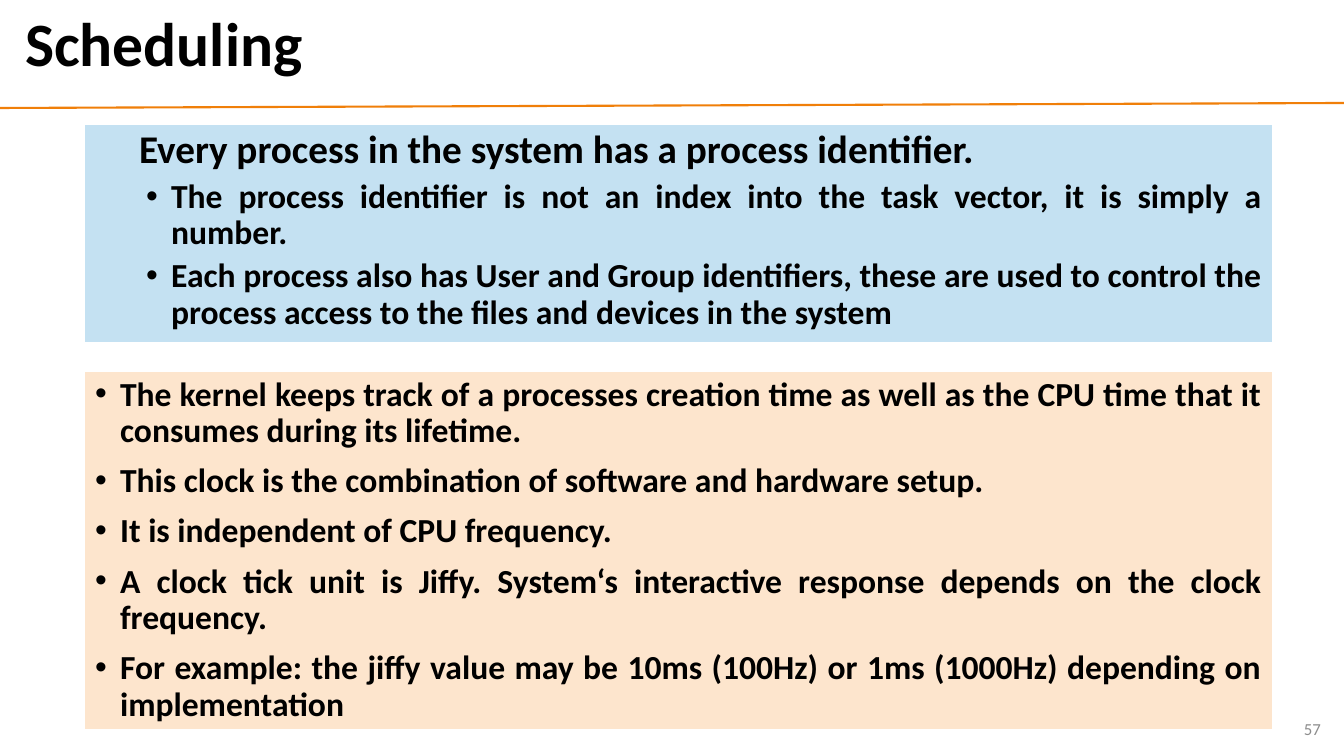
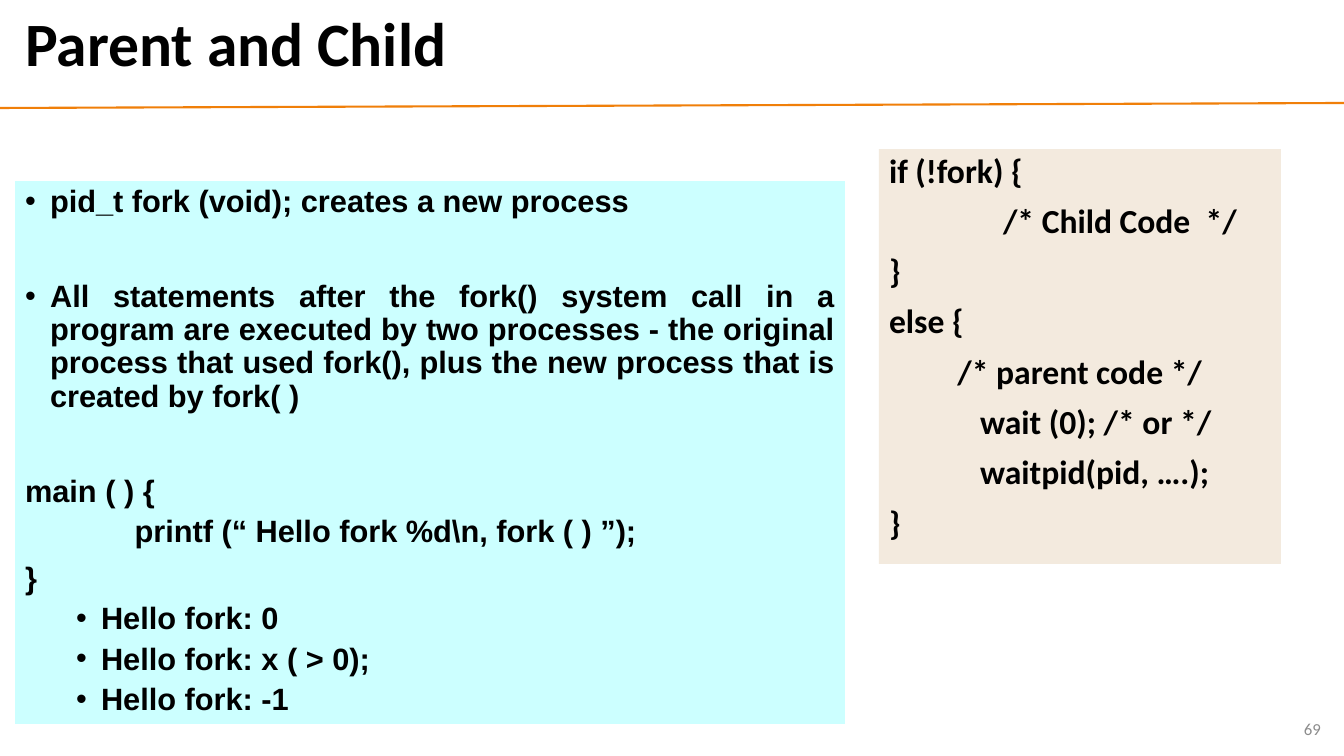
"""Build two slides on process scheduling and on parent and child."""
from dataclasses import dataclass

from lxml import etree
from pptx import Presentation
from pptx.dml.color import RGBColor
from pptx.enum.shapes import MSO_CONNECTOR
from pptx.enum.text import MSO_ANCHOR, MSO_AUTO_SIZE, PP_ALIGN
from pptx.oxml.ns import qn
from pptx.util import Emu, Pt

LEFT, RIGHT, FULL = PP_ALIGN.LEFT, PP_ALIGN.RIGHT, PP_ALIGN.JUSTIFY
TOP, MIDDLE = MSO_ANCHOR.TOP, MSO_ANCHOR.MIDDLE
NO_FIT = MSO_AUTO_SIZE.NONE
STRAIGHT = MSO_CONNECTOR.STRAIGHT

WIDE, HIGH = 1344, 756
SCALE = 12192000 / WIDE
HANG = 25
SUB = 76
TWO_PARTS = 3
COLORS = {
    "rule": "F07F09",
    "text": "000000",
    "page": "8C8C8C",
    "blue": "C4E1F2",
    "peach": "FDE5CD",
    "aqua": "CCFFFF",
    "sand": "F3EADE",
}
Box = tuple[int, int, int, int]
TITLE_BOX: Box = (15, 5, 1299, 84)
PAGE_BOX: Box = (1029, 709, 302, 40)


@dataclass(frozen=True)
class Line:
    """One paragraph, with its indent in px and its gap above in points."""
    text: str
    size: int = 24
    left: int = 0
    gap: int = 10
    level: int = 0
    dot: bool = False


@dataclass(frozen=True)
class Panel:
    """A filled body box with its lines."""
    box: Box
    fill: str
    lines: list[Line]
    font: str = "Calibri"
    align: PP_ALIGN = FULL


@dataclass(frozen=True)
class Page:
    """The content of one slide."""
    title: str
    number: int
    panels: list[Panel]


def px(count: float) -> Emu:
    """Turn px into EMU."""
    return Emu(round(count * SCALE))


def color(name: str) -> RGBColor:
    """Look up a named colour."""
    return RGBColor.from_string(COLORS[name])


def point(text: str, size: int = 24) -> Line:
    """Make a bullet of the first level."""
    return Line(text, size, HANG, dot=True)


def sub_point(text: str, size: int = 24) -> Line:
    """Make a bullet of the second level."""
    return Line(text, size, SUB, 5, 1, True)


def place(shape, box: Box, anchor: MSO_ANCHOR) -> None:
    """Move a text shape and set up its frame."""
    shape.left, shape.top, shape.width, shape.height = map(px, box)
    frame = shape.text_frame
    frame.word_wrap = True
    frame.auto_size = NO_FIT
    frame.vertical_anchor = anchor


def add_run(para, text: str, size: int, font: str = "Calibri",
            hue: str = "text", bold: bool = True) -> None:
    """Add one formatted run."""
    run = para.add_run()
    run.text = text
    run.font.size = Pt(size)
    run.font.name = font
    run.font.bold = bold
    run.font.color.rgb = color(hue)


def set_mark(para, line: Line) -> None:
    """Set the indent of a paragraph and its bullet."""
    props = para._p.get_or_add_pPr()
    props.set("marL", str(px(line.left)))
    props.set("indent", str(px(-HANG if line.dot else 0)))
    if line.dot:
        etree.SubElement(props, qn("a:buFont")).set("typeface", "Arial")
        etree.SubElement(props, qn("a:buChar")).set("char", "•")
    else:
        etree.SubElement(props, qn("a:buNone"))


def fill_panel(shape, panel: Panel) -> None:
    """Format a body placeholder and write its lines."""
    place(shape, panel.box, TOP)
    shape.fill.solid()
    shape.fill.fore_color.rgb = color(panel.fill)
    frame = shape.text_frame
    for i, line in enumerate(panel.lines):
        para = frame.add_paragraph() if i else frame.paragraphs[0]
        set_mark(para, line)
        para.level = line.level
        para.alignment = panel.align
        para.line_spacing = 0.9
        para.space_before = Pt(line.gap if i else 0)
        para.space_after = Pt(0)
        add_run(para, line.text, line.size, panel.font)


def add_rule(slide, layout) -> None:
    """Draw the rule below the title and hand it to the layout."""
    rule = slide.shapes.add_connector(
        STRAIGHT, px(0), px(108), px(WIDE), px(103))
    rule.line.color.rgb = color("rule")
    rule.line.width = Pt(1.5)
    props = rule.element.find(qn("p:spPr"))
    etree.SubElement(props, qn("a:effectLst"))
    layout.shapes.element.append(rule.element)


def add_page(slide, page: Page) -> None:
    """Fill one slide."""
    title = slide.shapes.title
    place(title, TITLE_BOX, MIDDLE)
    para = title.text_frame.paragraphs[0]
    para.alignment = LEFT
    para.line_spacing = 0.9
    add_run(para, page.title, 44)
    for index, panel in enumerate(page.panels, 1):
        fill_panel(slide.placeholders[index], panel)
    label = slide.shapes.add_textbox(0, 0, 0, 0)
    place(label, PAGE_BOX, MIDDLE)
    para = label.text_frame.paragraphs[0]
    para.alignment = RIGHT
    add_run(para, str(page.number), 12, hue="page", bold=False)


PAGES = [
    Page("Scheduling", 57, [
        Panel((85, 125, 1187, 217), "blue", [
            Line("Every process in the system has a process identifier.",
                 28, 44),
            sub_point("The process identifier is not an index into the task "
                      "vector, it is simply a number."),
            sub_point("Each process also has User and Group identifiers, "
                      "these are used to control the process access to the "
                      "files and devices in the system"),
        ]),
        Panel((85, 372, 1187, 357), "peach", [
            point("The kernel keeps track of a processes creation time as "
                  "well as the CPU time that it consumes during its "
                  "lifetime."),
            point("This clock is the combination of software and hardware "
                  "setup."),
            point("It is independent of CPU frequency."),
            point("A clock tick unit is Jiffy. System‘s interactive response "
                  "depends on the clock frequency."),
            point("For example: the jiffy value may be 10ms (100Hz) or 1ms "
                  "(1000Hz) depending on implementation"),
        ]),
    ]),
    Page("Parent and Child", 69, [
        Panel((15, 181, 830, 543), "aqua", [
            point("pid_t fork (void); creates a new process", 22),
            Line("All statements after the fork() system call in a program "
                 "are executed by two processes - the original process that "
                 "used fork(), plus the new process that is created by "
                 "fork( )", 22, HANG, 44, dot=True),
            Line("main ( ) {", 22, gap=44),
            Line(" printf (“ Hello fork %d\\n, fork ( ) ”);", 22, 101, 5, 2),
            Line("}", 22),
            sub_point("Hello fork: 0", 22),
            sub_point("Hello fork: x ( > 0);", 22),
            sub_point("Hello fork: -1", 22),
        ], "Arial"),
        Panel((879, 149, 402, 415), "sand", [
            Line("if (!fork) {"),
            Line("               /* Child Code  */"),
            Line("}"),
            Line("else {"),
            Line("         /* parent code */"),
            Line("            wait (0); /* or */"),
            Line("            waitpid(pid, ….);"),
            Line("}"),
        ], align=LEFT),
    ]),
]


def main() -> None:
    """Build and save the deck."""
    deck = Presentation()
    deck.slide_width, deck.slide_height = px(WIDE), px(HIGH)
    layout = deck.slide_layouts[TWO_PARTS]
    slides = [deck.slides.add_slide(layout) for _ in PAGES]
    add_rule(slides[0], layout)
    for slide, page in zip(slides, PAGES):
        add_page(slide, page)
    deck.save("out.pptx")


if __name__ == "__main__":
    main()
